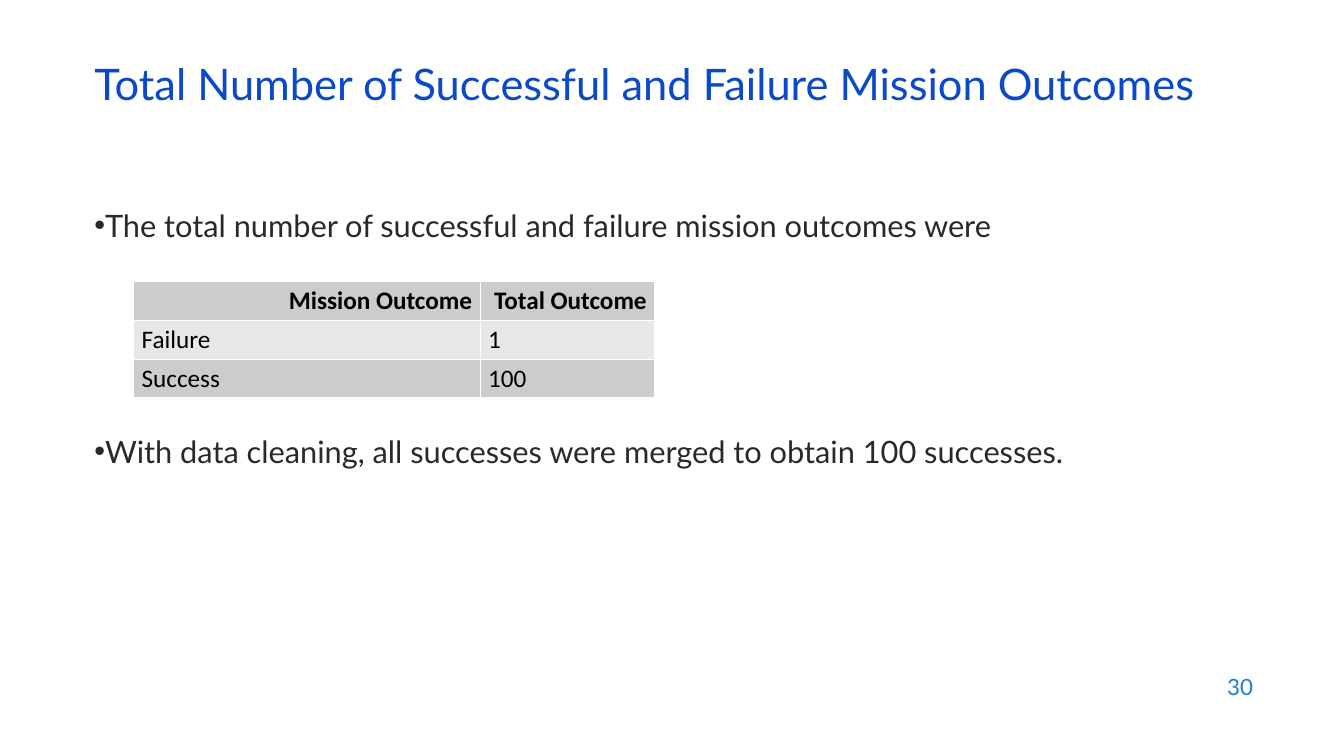
import pptx
import pptx.util
import pptx.dml.color
import pptx.enum.text
from lxml import etree
from pptx.oxml.ns import qn

Cm, Pt = pptx.util.Cm, pptx.util.Pt
RGBColor = pptx.dml.color.RGBColor
ALIGN, ANCHOR = pptx.enum.text.PP_ALIGN, pptx.enum.text.MSO_ANCHOR

# Content
TITLE = "Total Number of Successful and Failure Mission Outcomes"
FINDINGS = [
    "The total number of successful and failure mission outcomes were",
    "With data cleaning, all successes were merged to obtain 100 successes.",
]
OUTCOMES = [
    ("Mission Outcome", "Total Outcome"),
    ("Failure", "1"),
    ("Success", "100"),
]
PAGE_NUMBER = "30"

# Colours
TITLE_BLUE = RGBColor(0x0B, 0x49, 0xCB)
PAGE_BLUE = RGBColor(0x1C, 0x7D, 0xDB)
BODY_GREY = RGBColor(0x29, 0x29, 0x29)
BLACK = RGBColor(0, 0, 0)
BANDS = [RGBColor(0xCC, 0xCC, 0xCC), RGBColor(0xE7, 0xE7, 0xE7)]
BORDER = "FFFFFF"

# Layout, in centimetres
LEFT = 2.13
COLUMNS = [8.73, 4.4]
ROW_HEIGHT = 0.98
TABLE_GAP = 135.2  # points between the findings, leaving room for the table


def write(frame, lines, *, size, color, font="Lato", bold=False, align=ALIGN.LEFT,
          anchor=ANCHOR.TOP, bullet=None, gap=0, line_spacing=None):
    frame.word_wrap = True
    frame.vertical_anchor = anchor
    for i, line in enumerate(lines):
        paragraph = frame.add_paragraph() if i else frame.paragraphs[0]
        paragraph.alignment = align
        if i:
            paragraph.space_before = Pt(gap)
        if line_spacing:
            paragraph.line_spacing = line_spacing
        if bullet:
            properties = paragraph._p.get_or_add_pPr()
            properties.set("marL", "0")
            properties.set("indent", "0")
            etree.SubElement(properties, qn("a:buFont")).set("typeface", "Arial")
            etree.SubElement(properties, qn("a:buChar")).set("char", bullet)
        run = paragraph.add_run()
        run.text = line
        run.font.name, run.font.size, run.font.bold = font, Pt(size), bold
        run.font.color.rgb = color


def add_borders(cell):
    properties = cell._tc.get_or_add_tcPr()
    for i, side in enumerate(("lnL", "lnR", "lnT", "lnB")):
        line = etree.Element(qn("a:" + side), w=str(Pt(1)))
        fill = etree.SubElement(line, qn("a:solidFill"))
        etree.SubElement(fill, qn("a:srgbClr")).set("val", BORDER)
        properties.insert(i, line)


def main():
    deck = pptx.Presentation()
    deck.slide_width, deck.slide_height = Cm(33.87), Cm(19.05)
    slide = deck.slides.add_slide(deck.slide_layouts[6])

    def text_area(*box):
        return slide.shapes.add_textbox(*map(Cm, box)).text_frame

    # Page number, findings and title
    write(text_area(24.21, 16.74, 7.62, 1.12), [PAGE_NUMBER], size=16,
          color=PAGE_BLUE, align=ALIGN.RIGHT, anchor=ANCHOR.MIDDLE)
    write(text_area(LEFT, 5.08, 27.08, 12.09), FINDINGS, size=22,
          color=BODY_GREY, bullet="•", gap=TABLE_GAP)
    write(text_area(LEFT, 1.5, 29.21, 1.52), [TITLE], size=31,
          color=TITLE_BLUE, anchor=ANCHOR.MIDDLE, line_spacing=0.7)

    # Outcome table
    outcomes = slide.shapes.add_table(
        len(OUTCOMES), len(COLUMNS), Cm(3.37), Cm(7.09),
        Cm(sum(COLUMNS)), Cm(ROW_HEIGHT * len(OUTCOMES))).table
    for column, width in zip(outcomes.columns, COLUMNS):
        column.width = Cm(width)
    for r, row in enumerate(OUTCOMES):
        outcomes.rows[r].height = Cm(ROW_HEIGHT)
        for c, value in enumerate(row):
            cell = outcomes.cell(r, c)
            cell.fill.solid()
            cell.fill.fore_color.rgb = BANDS[r % 2]
            cell.margin_left = cell.margin_right = Cm(0.2)
            cell.margin_top = cell.margin_bottom = Cm(0.1)
            add_borders(cell)
            write(cell.text_frame, [value], size=18, color=BLACK, font="Calibri",
                  bold=r == 0, align=ALIGN.LEFT if r else ALIGN.RIGHT)
            cell.vertical_anchor = ANCHOR.MIDDLE

    deck.save("out.pptx")


if __name__ == "__main__":
    main()
